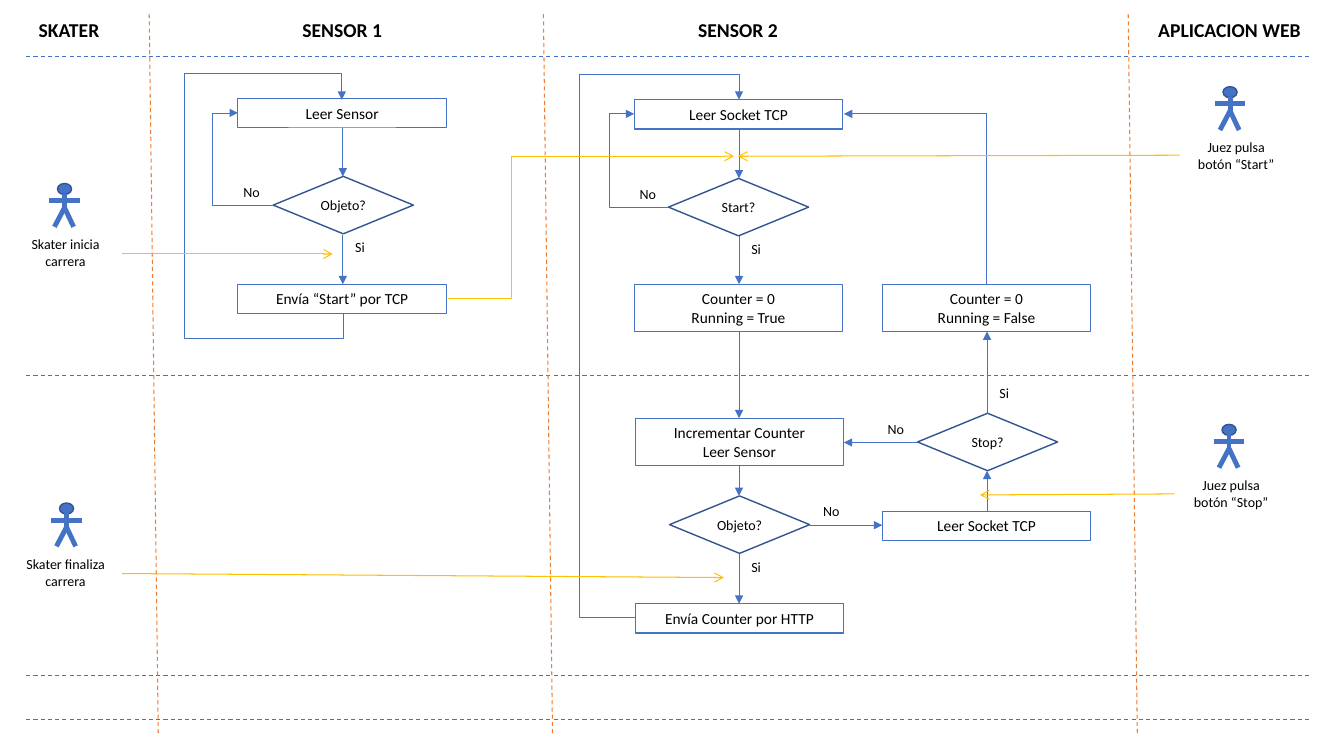
"""Build a flowchart of a skating race timer with four swimlanes."""
from lxml import etree
from pptx import Presentation
from pptx.dml.color import RGBColor
from pptx.enum.dml import MSO_LINE
from pptx.enum.shapes import MSO_CONNECTOR, MSO_SHAPE
from pptx.enum.text import MSO_ANCHOR, MSO_AUTO_SIZE, PP_ALIGN
from pptx.oxml.ns import qn
from pptx.util import Inches, Pt

STRAIGHT, ELBOW = MSO_CONNECTOR.STRAIGHT, MSO_CONNECTOR.ELBOW
RECTANGLE, OVAL = MSO_SHAPE.RECTANGLE, MSO_SHAPE.OVAL
DECISION = MSO_SHAPE.FLOWCHART_DECISION
TOP, MIDDLE = MSO_ANCHOR.TOP, MSO_ANCHOR.MIDDLE
CENTER = PP_ALIGN.CENTER
GROW = MSO_AUTO_SIZE.SHAPE_TO_FIT_TEXT
DASH = MSO_LINE.DASH
COLORS = {"flow": "4472C4", "edge": "325491", "lane": "ED7D31",
          "event": "FFC000", "text": "000000"}
FONT = "Calibri"
STEP_WIDTH, STEP_HEIGHT, TALL_STEP = 2.07, 0.29, 0.47
DECISION_WIDTH, DECISION_HEIGHT = 1.39, 0.57


def color(name):
    """Return the named colour."""
    return RGBColor.from_string(COLORS[name])


def write(shape, lines, size, bold=False, anchor=TOP, wrap=True, fit=GROW):
    """Put centred lines of text into a shape."""
    frame = shape.text_frame
    for name, value in {"word_wrap": wrap, "auto_size": fit,
                        "vertical_anchor": anchor}.items():
        setattr(frame, name, value)
    for index, line in enumerate(lines):
        para = frame.add_paragraph() if index else frame.paragraphs[0]
        para.alignment = CENTER
        span = para.add_run()
        span.text = line
        for name, value in {"name": FONT, "size": Pt(size), "bold": bold}.items():
            setattr(span.font, name, value)
        span.font.color.rgb = color("text")


def add_label(page, left, top, width, text, size=10, height=0.27, bold=False, wrap=True):
    """Add a centred text box."""
    box = page.shapes.add_textbox(*map(Inches, (left, top, width, height)))
    write(box, [text], size, bold=bold, wrap=wrap)


def add_outline(shapes, kind, area, edge, weight):
    """Add an unfilled preset shape."""
    shape = shapes.add_shape(kind, *map(Inches, area))
    shape.shadow.inherit = False
    shape.fill.background()
    shape.line.color.rgb = color(edge)
    shape.line.width = Pt(weight)
    return shape


def add_step(page, left, top, *lines):
    """Add a process box sized for its lines."""
    height = TALL_STEP if len(lines) > 1 else STEP_HEIGHT
    area = (left, top, STEP_WIDTH, height)
    write(add_outline(page.shapes, RECTANGLE, area, "flow", 0.75), lines, 11)


def add_decision(page, left, top, question, no_at, yes_at):
    """Add a decision diamond with its two branch labels."""
    area = (left, top, DECISION_WIDTH, DECISION_HEIGHT)
    shape = add_outline(page.shapes, DECISION, area, "edge", 1)
    write(shape, [question], 10, anchor=MIDDLE, fit=MSO_AUTO_SIZE.NONE)
    add_label(page, *no_at, 0.37, "No", wrap=False)
    add_label(page, *yes_at, 0.3, "Si", wrap=False)


def add_line(shapes, start, end, tone="flow", weight=0.5, tail=None, dash=None, kind=STRAIGHT):
    """Add a connector with an optional arrowhead or dash."""
    connector = shapes.add_connector(kind, *map(Inches, (*start, *end)))
    connector.line.color.rgb = color(tone)
    connector.line.width = Pt(weight)
    if dash:
        connector.line.dash_style = dash
    properties = connector._element.spPr
    if tail:
        etree.SubElement(properties.find(qn("a:ln")), qn("a:tailEnd"), type=tail)
    etree.SubElement(properties, qn("a:effectLst"))
    return connector


def add_elbow(page, start, bends, end, upward=False, **style):
    """Add a bent arrow whose bends are coordinates on alternating axes."""
    first, last = start, end
    if upward:
        middle = [(a + b) / 2 for a, b in zip(start, end)]
        half_width = abs(end[1] - start[1]) / 2
        half_height = abs(end[0] - start[0]) / 2
        first = (middle[0] - half_width, middle[1] + half_height)
        last = (middle[0] + half_width, middle[1] - half_height)
    connector = add_line(page.shapes, first, last, kind=ELBOW, **style)
    properties = connector._element.spPr
    if upward:
        properties.find(qn("a:xfrm")).set("rot", str(270 * 60000))
    geometry = properties.find(qn("a:prstGeom"))
    geometry.set("prst", f"bentConnector{len(bends) + 2}")
    guides = geometry.get_or_add_avLst()
    for index, bend in enumerate(bends):
        axis = (index + upward) % 2
        ratio = (bend - start[axis]) / (end[axis] - start[axis])
        etree.SubElement(guides, qn("a:gd"), name=f"adj{index + 1}",
                         fmla=f"val {round(ratio * 100000)}")


def add_person(page, x, top, caption_left, caption):
    """Add a grouped stick figure and its caption."""
    group = page.shapes.add_group_shape()
    head = add_outline(group.shapes, OVAL, (x - 0.07, top, 0.14, 0.11), "edge", 1)
    head.fill.solid()
    head.fill.fore_color.rgb = color("flow")
    neck, hip, arms, feet = top + 0.1, top + 0.25, top + 0.17, top + 0.43
    limbs = [((x, neck), (x, hip)), ((x, hip - 0.01), (x - 0.1, feet)),
             ((x, hip - 0.01), (x + 0.09, feet)), ((x - 0.15, arms), (x + 0.15, arms))]
    for start, end in limbs:
        add_line(group.shapes, start, end, weight=3.5)
    add_label(page, caption_left, top + 0.47, 1.12, caption, height=0.44)


def add_lanes(page):
    """Add the headings and the dashed dividers."""
    for left, width, text in [(0.15, 1.07, "SKATER"), (2.36, 2.07, "SENSOR 1"),
                              (6.07, 2.5, "SENSOR 2"), (11.27, 1.85, "APLICACION WEB")]:
        add_label(page, left, 0.13, width, text, size=14, height=0.34, bold=True)
    for y in (0.56, 3.73, 6.7, 7.14):
        add_line(page.shapes, (0.26, y), (12.98, y), weight=0.75, dash=DASH)
    for x in (1.48, 5.39, 11.19):
        add_line(page.shapes, (x, 0.14), (x + 0.09, 7.28), "lane", 0.75, dash=DASH)


def add_flow(page):
    """Add the steps, decisions and blue arrows."""
    for step in [(2.36, 0.98, "Leer Sensor"), (2.36, 2.82, "Envía “Start” por TCP"),
                 (6.29, 0.99, "Leer Socket TCP"),
                 (6.29, 2.82, "Counter = 0", "Running = True"),
                 (6.3, 4.15, "Incrementar Counter", "Leer Sensor"),
                 (6.3, 5.99, "Envía Counter por HTTP"), (8.75, 5.07, "Leer Socket TCP"),
                 (8.75, 2.82, "Counter = 0", "Running = False")]:
        add_step(page, *step)
    for decision in [(2.71, 1.75, "Objeto?", (2.31, 1.77), (3.42, 2.32)),
                     (6.63, 1.77, "Start?", (6.24, 1.79), (7.35, 2.34)),
                     (6.64, 4.92, "Objeto?", (8.06, 4.94), (7.35, 5.49)),
                     (9.1, 4.1, "Stop?", (8.7, 4.12), (9.81, 3.77))]:
        add_decision(page, *decision)
    for x, top, bottom in [(3.4, 1.26, 1.75), (3.4, 2.33, 2.82), (7.33, 1.28, 1.77),
                           (7.33, 2.34, 2.82), (7.33, 3.29, 4.15), (7.33, 4.62, 4.92),
                           (7.33, 5.5, 5.99), (9.79, 5.07, 4.67), (9.79, 4.1, 3.29)]:
        add_line(page.shapes, (x, top), (x, bottom), tail="triangle")
    for left, right, y in [(8.03, 8.75, 5.21), (9.1, 8.37, 4.39)]:
        add_line(page.shapes, (left, y), (right, y), tail="triangle")
    for start, bends, end, upward in [
            ((2.71, 2.04), [2.11], (2.36, 1.12), False),
            ((6.63, 2.06), [6.04], (6.29, 1.13), False),
            ((3.41, 3.11), [3.36, 1.83, 0.73], (3.39, 0.99), True),
            ((6.3, 6.13), [5.75, 0.74], (7.33, 0.99), False),
            ((9.78, 2.82), [], (8.37, 1.13), True)]:
        add_elbow(page, start, bends, end, upward, tail="triangle")


def add_events(page):
    """Add the people and the yellow event arrows."""
    for person in [(0.64, 1.82, 0.09, "Skater inicia carrera"),
                   (0.66, 4.99, 0.09, "Skater finaliza carrera"),
                   (12.2, 0.86, 11.7, "Juez pulsa botón “Start”"),
                   (12.19, 4.21, 11.65, "Juez pulsa botón “Stop”")]:
        add_person(page, *person)
    style = {"tone": "event", "weight": 0.75, "tail": "arrow"}
    for start, end in [((1.21, 2.52), (3.3, 2.52)), ((1.21, 5.69), (7.18, 5.73)),
                       ((11.7, 1.54), (7.32, 1.55)), ((11.65, 4.9), (9.72, 4.91))]:
        add_line(page.shapes, start, end, **style)
    add_elbow(page, (4.44, 2.96), [5.07], (7.28, 1.55), **style)


def main():
    """Build and save the deck."""
    deck = Presentation()
    deck.slide_width, deck.slide_height = Inches(13.33), Inches(7.5)
    page = deck.slides.add_slide(deck.slide_layouts[6])
    add_lanes(page)
    add_flow(page)
    add_events(page)
    deck.save("out.pptx")


if __name__ == "__main__":
    main()
